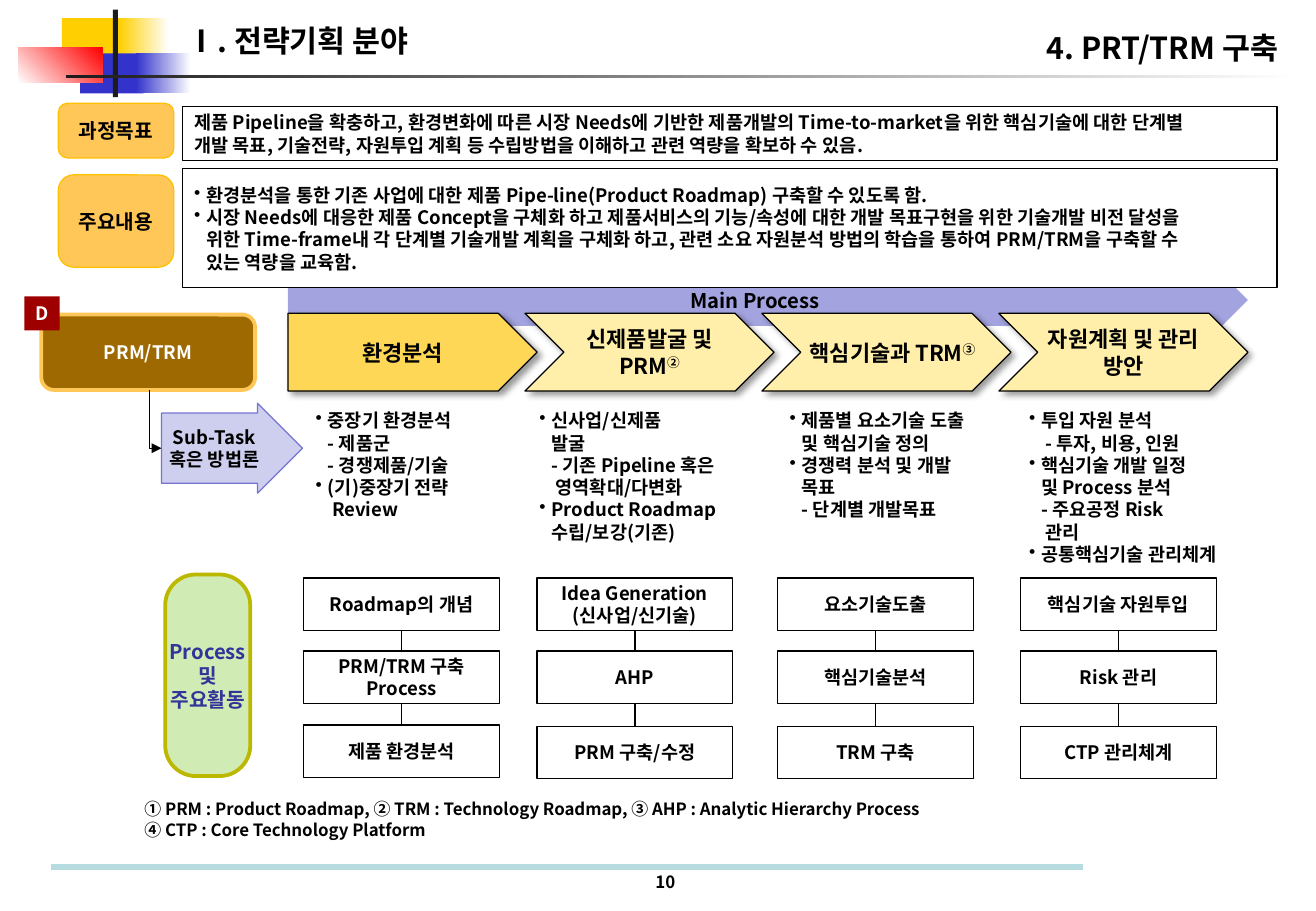
from dataclasses import dataclass

from lxml import etree
from pptx import Presentation
from pptx import util as u
from pptx.dml.color import RGBColor
from pptx.enum import shapes, text
from pptx.oxml.ns import qn

IN = u.Inches
KIND = shapes.MSO_SHAPE
LEFT, MID, RIGHT = text.PP_ALIGN.LEFT, text.PP_ALIGN.CENTER, text.PP_ALIGN.RIGHT


@dataclass(frozen=True)
class Theme:
    font: str = "Noto Sans CJK KR"
    black: str = "000000"
    white: str = "FFFFFF"
    dark: str = "1C1C1C"
    yellow: str = "FFCF01"
    blue: str = "3333CC"
    red: str = "FF0000"
    rule: str = "B6DCDF"
    band: str = "A3A3E0"
    first: str = "FFD757"
    step: str = "FFEFAB"
    brown: str = "9E6900"
    amber: str = "FFC757"
    gold: str = "FFC000"
    lilac: str = "CECEEF"
    violet: str = "7575D1"
    badge: str = "9E0000"
    green: str = "D0EBB3"
    olive: str = "BCB800"
    navy: str = "333399"
    head: int = 18
    stage: int = 13
    label: int = 12
    body: int = 11
    note: int = 10


T = Theme()


def rgb(tone):
    return RGBColor.from_string(tone)


def sub(node, tag, **attrs):
    return etree.SubElement(node, qn(tag), attrs)


def write(frame, lines, size=T.body, tone=T.black, align=MID, wrap=False, bullet=False):
    """Fill a frame, one paragraph a line; ^ starts a raised mark."""
    frame.word_wrap = wrap
    for i, line in enumerate(lines):
        para = frame.paragraphs[0] if i == 0 else frame.add_paragraph()
        main, _, mark = line.partition("^")
        para.text = main
        if mark:
            run = para.add_run()
            run.text = mark
            run._r.get_or_add_rPr().set("baseline", "30000")
        para.alignment = align
        if bullet:
            props = para._p.get_or_add_pPr()
            props.set("marL", str(IN(0.1)))
            props.set("indent", str(IN(-0.1)))
            sub(props, "a:buChar", char="•")
        font = para.font
        font.name, font.size, font.bold = T.font, u.Pt(size), True
        font.color.rgb = rgb(tone)
        sub(font._rPr, "a:ea", typeface=T.font)


def block(slide, kind, at, fill, line=None, width=0.75, adj=()):
    """Draw a preset shape; a pair of fills makes a gradient."""
    item = slide.shapes.add_shape(kind, *map(IN, at))
    item.shadow.inherit = False
    for i, value in enumerate(adj):
        item.adjustments[i] = value
    if isinstance(fill, tuple):
        item.fill.gradient()
        for stop, tone in zip(item.fill.gradient_stops, fill):
            stop.color.rgb = rgb(tone)
        item.fill.gradient_angle = 0
    else:
        item.fill.solid()
        item.fill.fore_color.rgb = rgb(fill)
    if line:
        item.line.color.rgb = rgb(line)
        item.line.width = u.Pt(width)
    else:
        item.line.fill.background()
    return item


def label(slide, at, lines, **style):
    box = slide.shapes.add_textbox(*map(IN, at))
    write(box.text_frame, lines, **style)


def link(slide, ends, tone=T.black, width=0.75, kind=shapes.MSO_CONNECTOR.STRAIGHT):
    line = slide.shapes.add_connector(kind, *map(IN, ends))
    line.line.color.rgb = rgb(tone)
    line.line.width = u.Pt(width)
    sub(line._element.spPr, "a:effectLst")
    return line


def cast(item):
    """Give a shape a soft shadow to the lower right."""
    effect = item._element.spPr.find(qn("a:effectLst"))
    shade = sub(effect, "a:outerShdw", blurRad=str(u.Pt(4)), dist=str(u.Pt(3)),
                dir="2700000", algn="tl", rotWithShape="0")
    tone = sub(shade, "a:srgbClr", val=T.black)
    sub(tone, "a:alpha", val="40000")


def header(slide):
    # Colour blocks and rules
    for at, fill in (
        ((0.51, 0.15, 0.54, 0.33), T.yellow),
        ((0.98, 0.15, 0.41, 0.33), (T.yellow, T.white)),
        ((0.66, 0.44, 0.52, 0.33), T.blue),
        ((1.12, 0.44, 0.45, 0.33), (T.blue, T.white)),
        ((0.15, 0.39, 0.69, 0.29), (T.white, T.red)),
        ((0.93, 0.08, 0.04, 0.72), T.dark),
        ((0.54, 0.62, 10.14, 0.02), (T.dark, T.white)),
    ):
        item = block(slide, KIND.RECTANGLE, at, fill)
        if fill == (T.white, T.red):
            item.fill.gradient_angle = 45
    # Titles
    title = slide.shapes.title
    title.left, title.top, title.width, title.height = map(IN, (8.39, 0.19, 2.23, 0.4))
    title.text_frame.margin_left = 0
    title.text_frame.vertical_anchor = text.MSO_ANCHOR.TOP
    title.text_frame.auto_size = text.MSO_AUTO_SIZE.NONE
    write(title.text_frame, ["4. PRT/TRM 구축"], size=T.head, align=RIGHT, wrap=True)
    label(slide, (1.44, 0.13, 2.3, 0.4), ["Ⅰ. 전략기획 분야"], size=T.head, align=LEFT, wrap=True)


def goals(slide):
    for name, tag, box, lines, bullet in (
        ("과정목표", (0.85, 0.45), (0.88, 0.44), [
            "제품 Pipeline을 확충하고, 환경변화에 따른 시장 Needs에 기반한 제품개발의 Time-to-market을 위한 핵심기술에 대한 단계별\n"
            "개발 목표, 기술전략, 자원투입 계획 등 수립방법을 이해하고 관련 역량을 확보하 수 있음."], False),
        ("주요내용", (1.44, 0.76), (1.39, 0.98), [
            "환경분석을 통한 기존 사업에 대한 제품 Pipe-line(Product Roadmap) 구축할 수 있도록 함.",
            "시장 Needs에 대응한 제품 Concept을 구체화 하고 제품서비스의 기능/속성에 대한 개발 목표구현을 위한 기술개발 비전 달성을\n"
            "위한 Time-frame내 각 단계별 기술개발 계획을 구체화 하고, 관련 소요 자원분석 방법의 학습을 통하여 PRM/TRM을 구축할 수\n"
            "있는 역량을 교육함."], True),
    ):
        item = block(slide, KIND.ROUNDED_RECTANGLE, (0.48, tag[0], 0.95, tag[1]), T.amber, T.gold)
        write(item.text_frame, [name], size=T.label)
        item = block(slide, KIND.RECTANGLE, (1.5, box[0], 9.01, box[1]), T.white, T.black)
        write(item.text_frame, lines, align=LEFT, wrap=True, bullet=bullet)


def stages(slide):
    for i, lines in enumerate((["환경분석"], ["신제품발굴 및", "PRM^②"],
                               ["핵심기술과 TRM^③"], ["자원계획 및 관리", "방안"])):
        kind, fill = (KIND.CHEVRON, T.step) if i else (KIND.PENTAGON, T.first)
        item = block(slide, kind, (2.37 + 1.95 * i, 2.58, 2.05, 0.64), fill, T.black)
        cast(item)
        write(item.text_frame, lines, size=T.stage)
        if i == 2:
            item.text_frame.margin_left = IN(0.2)


def tasks(slide):
    # Task box, badge, method arrow and process label
    for kind, at, fill, line, width, adj, lines, size, tone in (
        (KIND.ROUNDED_RECTANGLE, (0.34, 2.59, 1.76, 0.62), T.brown, T.amber, 2.25, (),
         ["PRM/TRM"], T.body, T.white),
        (KIND.RECTANGLE, (0.2, 2.44, 0.29, 0.28), T.badge, None, 0, (), ["D"], T.body, T.white),
        (KIND.RIGHT_ARROW, (1.33, 3.32, 1.16, 0.74), T.lilac, T.violet, 0.75, (0.78, 0.5),
         ["Sub-Task", "혹은 방법론"], T.body, T.black),
        (KIND.ROUNDED_RECTANGLE, (1.36, 4.73, 0.7, 1.66), T.green, T.olive, 2.25, (0.36,),
         ["Process", "및", "주요활동"], T.label, T.navy),
    ):
        item = block(slide, kind, at, fill, line, width, adj)
        write(item.text_frame, lines, size=size, tone=tone)
    # Bent arrow: down, then right
    bend = link(slide, (1.04, 3.4, 1.52, 3.5), kind=shapes.MSO_CONNECTOR.ELBOW)
    props = bend._element.spPr
    props.find(qn("a:prstGeom")).set("prst", "bentConnector2")
    turn = props.find(qn("a:xfrm"))
    turn.set("rot", "16200000")
    turn.set("flipH", "1")
    sub(props.find(qn("a:ln")), "a:tailEnd", type="triangle")
    # Bullet lists under the stages
    for at, lines in (
        ((2.5, 3.32, 1.44, 1.03), ["중장기 환경분석\n- 제품군\n- 경쟁제품/기술", "(기)중장기 전략\n Review"]),
        ((4.34, 3.32, 1.73, 1.21), ["신사업/신제품\n발굴\n- 기존 Pipeline 혹은\n 영역확대/다변화",
                                    "Product Roadmap\n수립/보강(기존)"]),
        ((6.4, 3.32, 1.8, 1.03), ["제품별 요소기술 도출\n및 핵심기술 정의",
                                  "경쟁력 분석 및 개발\n목표\n- 단계별 개발목표"]),
        ((8.37, 3.32, 1.9, 1.4), ["투입 자원 분석\n - 투자, 비용, 인원",
                                  "핵심기술 개발 일정\n및 Process 분석\n- 주요공정 Risk\n 관리",
                                  "공통핵심기술 관리체계"]),
    ):
        label(slide, at, lines, align=LEFT, wrap=True, bullet=True)


def flows(slide):
    for left, last, steps in (
        (2.5, 5.97, (["Roadmap의 개념"], ["PRM/TRM 구축", "Process"], ["제품 환경분석"])),
        (4.42, 5.98, (["Idea Generation", "(신사업/신기술)"], ["AHP"], ["PRM 구축/수정"])),
        (6.4, 5.98, (["요소기술도출"], ["핵심기술분석"], ["TRM 구축"])),
        (8.4, 5.98, (["핵심기술 자원투입"], ["Risk 관리"], ["CTP 관리체계"])),
    ):
        above = None
        for top, lines in zip((4.76, 5.36, last), steps):
            item = block(slide, KIND.RECTANGLE, (left, top, 1.61, 0.43), T.white, T.black)
            write(item.text_frame, lines)
            if above:
                line = link(slide, (left, top, left, top))
                line.begin_connect(above, 2)
                line.end_connect(item, 0)
            above = item


def footer(slide):
    label(slide, (1.09, 6.53, 6.75, 0.44), [
        "① PRM : Product Roadmap, ② TRM : Technology Roadmap, ③ AHP : Analytic Hierarchy Process",
        "④ CTP : Core Technology Platform"], size=T.note, align=LEFT, wrap=True)
    link(slide, (0.42, 7.14, 8.91, 7.14), T.rule, 3.5)
    label(slide, (5.28, 7.13, 0.39, 0.27), ["10"], size=T.note)


def main():
    deck = Presentation()
    deck.slide_width, deck.slide_height = IN(10.83), IN(7.5)
    slide = deck.slides.add_slide(deck.slide_layouts[5])
    header(slide)
    band = block(slide, KIND.RIGHT_ARROW, (2.37, 2.19, 7.9, 0.56), T.band, adj=(0.76, 0.5))
    write(band.text_frame, ["Main Process"], size=T.label)
    stages(slide)
    tasks(slide)
    flows(slide)
    goals(slide)
    footer(slide)
    deck.save("out.pptx")


if __name__ == "__main__":
    main()
